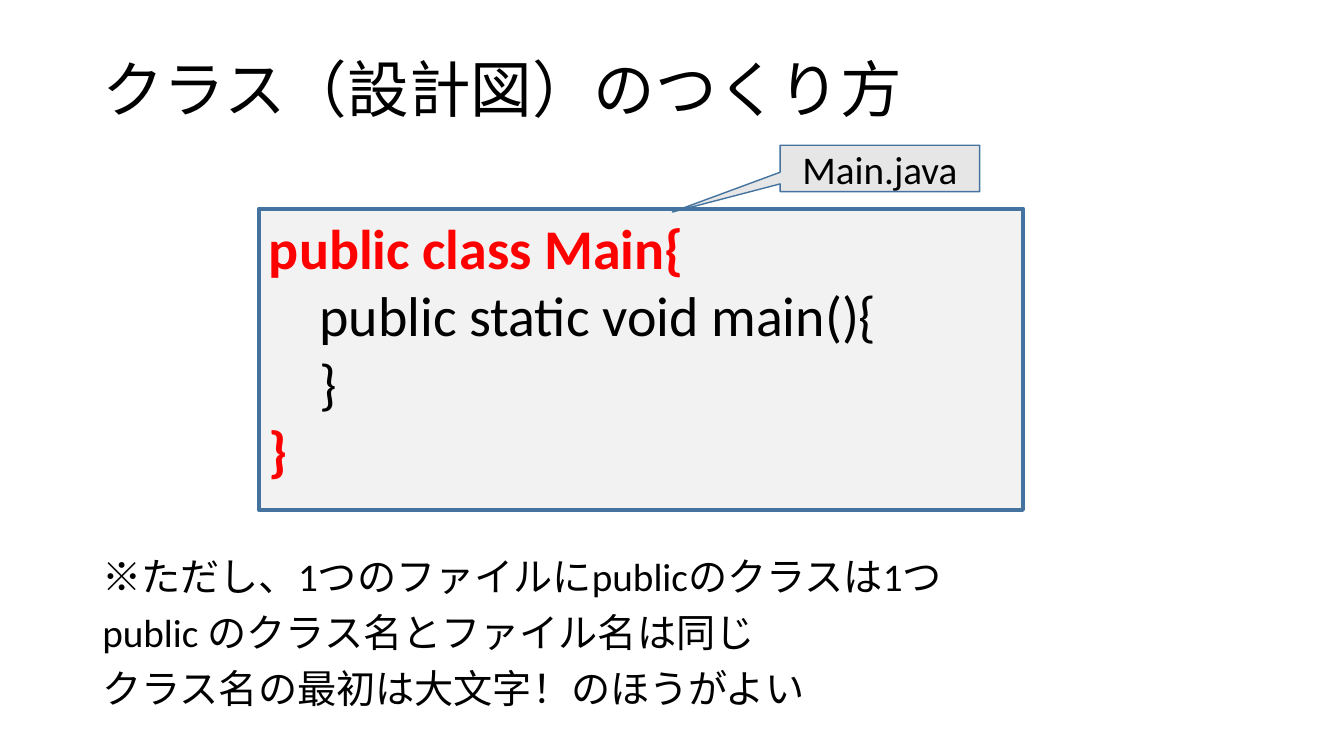
from pptx import Presentation
from pptx.dml.color import RGBColor
from pptx.enum.shapes import MSO_SHAPE
from pptx.enum.text import MSO_ANCHOR, PP_ALIGN
from pptx.util import Cm, Pt

COLORS = {
    "ink": "000000",
    "red": "FF0000",
    "code": "F2F2F2",
    "tag": "E7E6E6",
    "edge": "43739E",
}


def color(name):
    return RGBColor.from_string(COLORS[name])


def write(frame, lines, size, font="Calibri", align=PP_ALIGN.LEFT,
          anchor=MSO_ANCHOR.TOP, space=None, before=0, marked=()):
    """Fill a frame with lines; those in marked become bold and red."""
    frame.word_wrap = True
    frame.vertical_anchor = anchor
    for i, line in enumerate(lines):
        para = frame.paragraphs[0] if i == 0 else frame.add_paragraph()
        para.alignment = align
        para.line_spacing = space
        para.space_before = Pt(before)
        run = para.add_run()
        run.text = line
        run.font.name = font
        run.font.size = Pt(size)
        run.font.bold = i in marked
        run.font.color.rgb = color("red" if i in marked else "ink")


class Deck:
    def __init__(self):
        self.show = Presentation()
        self.show.slide_width = Cm(33.87)
        self.show.slide_height = Cm(19.05)
        self.slide = self.show.slides.add_slide(self.show.slide_layouts[6])
        self.edge = "edge"

    def text(self, box, lines, **style):
        item = self.slide.shapes.add_textbox(*map(Cm, box))
        write(item.text_frame, lines, **style)

    def shape(self, kind, box, fill, width, lines, adjust=(), **style):
        item = self.slide.shapes.add_shape(kind, *map(Cm, box))
        item.shadow.inherit = False
        item.fill.solid()
        item.fill.fore_color.rgb = color(fill)
        item.line.color.rgb = color(self.edge)
        item.line.width = Pt(width)
        for i, value in enumerate(adjust):
            item.adjustments[i] = value
        write(item.text_frame, lines, **style)

    def save(self):
        self.show.save("out.pptx")


def main():
    deck = Deck()
    deck.text((2.33, 1.02, 29.21, 2.65), ["クラス（設計図）のつくり方"],
              size=44, font="Cambria", anchor=MSO_ANCHOR.MIDDLE, space=0.9)
    notes = [
        "※ただし、1つのファイルにpublicのクラスは1つ",
        "public のクラス名とファイル名は同じ",
        "クラス名の最初は大文字！のほうがよい",
    ]
    deck.text((2.33, 13.92, 30.35, 4.62), notes, size=28, space=0.9, before=10)
    code = ["public class Main{", "\tpublic static void main(){", "\t}", "}"]
    deck.shape(MSO_SHAPE.RECTANGLE, (6.53, 5.26, 19.25, 7.59), "code", 3,
               code, size=40, marked=(0, 3))
    deck.shape(MSO_SHAPE.RECTANGULAR_CALLOUT, (19.66, 3.66, 5.03, 1.17),
               "tag", 1, ["Main.java"], adjust=(-1.04, 0.94), size=28,
               align=PP_ALIGN.CENTER, anchor=MSO_ANCHOR.MIDDLE)
    deck.save()


if __name__ == "__main__":
    main()
